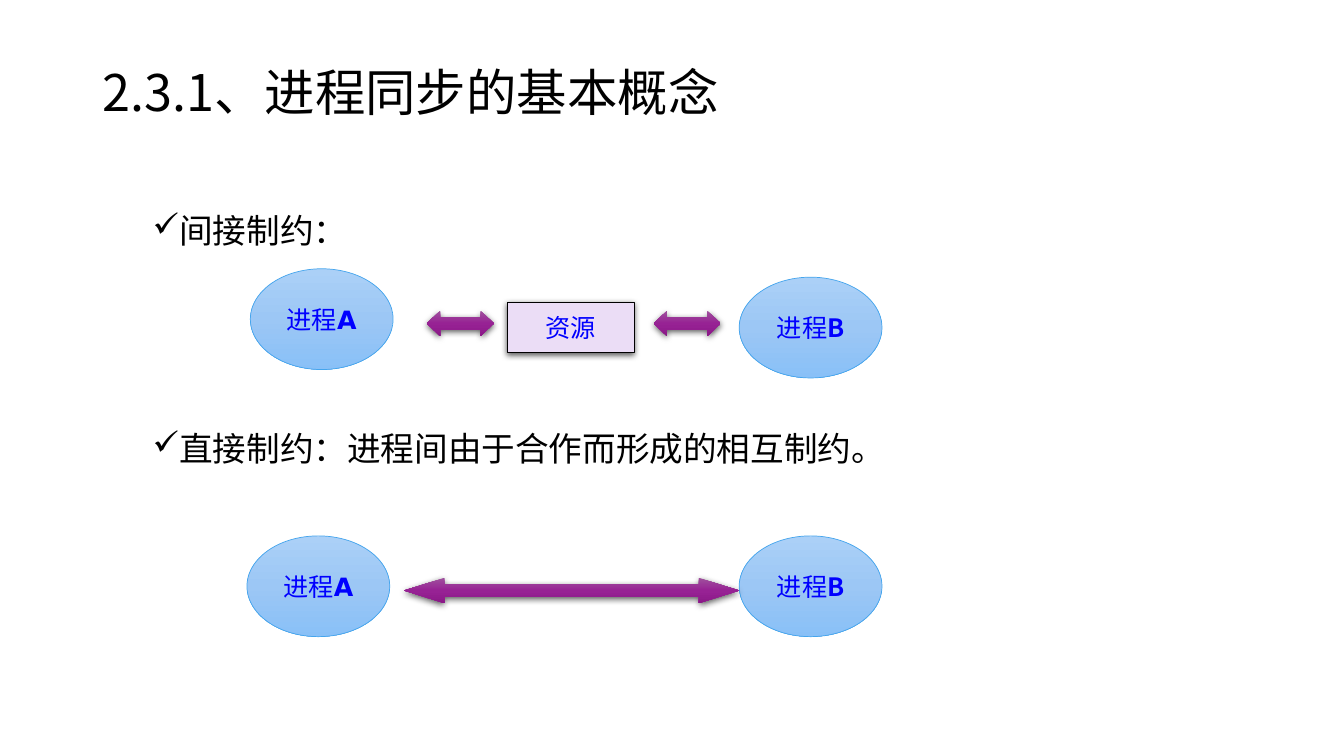
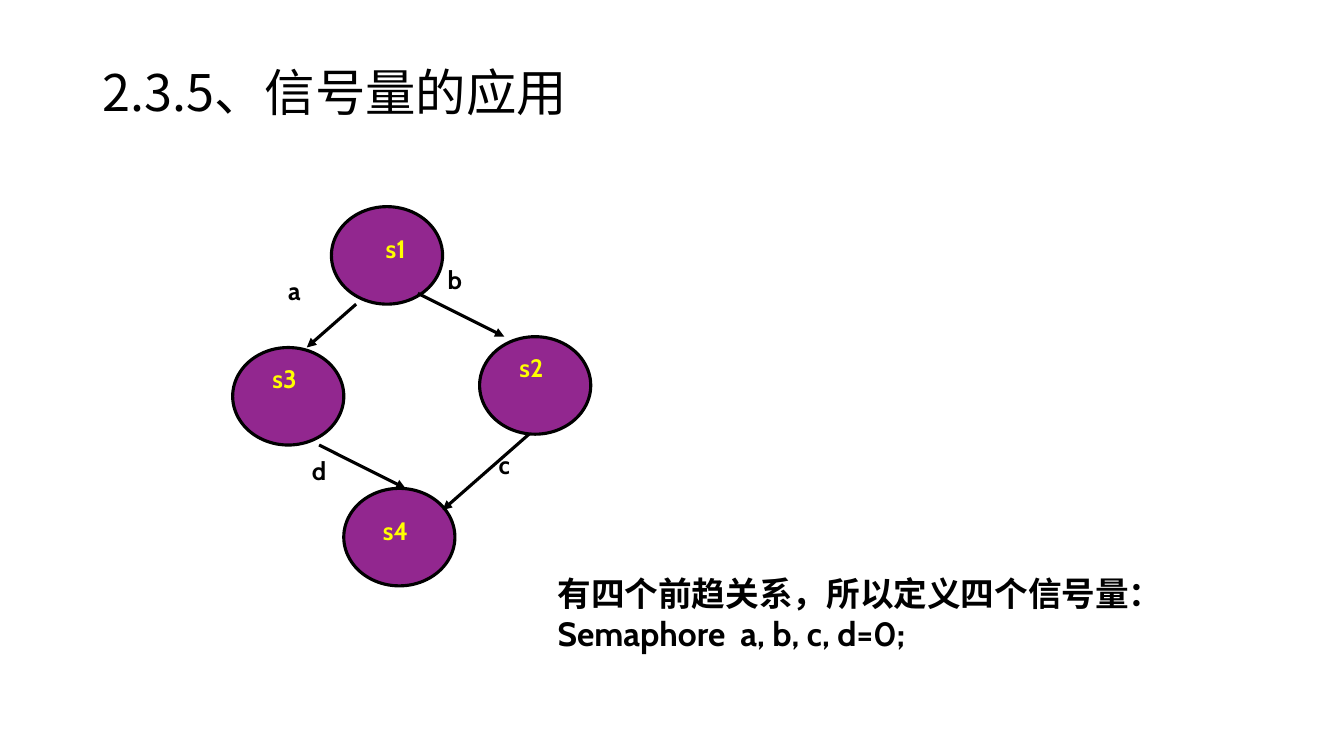
"""Two slides on process synchronisation: constraints between processes, and a semaphore precedence graph."""
from pptx import Presentation
from pptx.dml.color import RGBColor as RGB
from pptx.enum.shapes import MSO_CONNECTOR as CON, MSO_SHAPE as SHP
from pptx.enum.text import MSO_ANCHOR as ANC, PP_ALIGN as AL
from pptx.oxml import parse_xml
from pptx.oxml.ns import nsdecls, qn
from pptx.util import Emu, Inches, Pt


class Theme:
    sans, head, label = "DejaVu Sans", "Noto Sans CJK SC", "Cabin"
    black, blue, yellow = "000000", "0000FF", "FFFF00"
    purple, lilac, sky_line = "92278F", "EBDDF6", "45A5ED"
    sky = ("ABD0F7", "9CC7F5", "89C0F7")
    violet = ("9F519D", "972294", "8B1988")
    title_size, body_size, small_size = Pt(36), Pt(24), Pt(18)
    thin, fine, thick = Pt(0.5), Pt(0.75), Pt(2.25)


T = Theme
TITLE = dict(name=T.head, size=T.title_size, color=T.black)
BODY = dict(name=T.head, size=T.body_size, color=T.black)
PROCESS = dict(name=T.sans, size=T.small_size, color=T.blue)
NODE = dict(name=T.label, size=T.small_size, color=T.yellow, bold=True)
EDGE = dict(NODE, color=T.black)
NOTE = dict(EDGE, size=T.body_size)

prs = Presentation()
prs.slide_width, prs.slide_height = Inches(13.33), Inches(7.5)
COL, ROW = prs.slide_width / 160, prs.slide_height / 90


def write(sp, paras, align=AL.LEFT, spacing=1.0, **frame):
    """Fill a shape with paragraphs of (text, format) runs."""
    tf = sp.text_frame
    for key, value in frame.items():
        setattr(tf, key, value)
    for i, runs in enumerate(paras):
        p = tf.paragraphs[0] if i == 0 else tf.add_paragraph()
        p.alignment, p.line_spacing = align, spacing
        for text, fmt in runs:
            r = p.add_run()
            r.text = text
            for key, value in fmt.items():
                if key == "color":
                    r.font.color.rgb = RGB.from_string(value)
                else:
                    setattr(r.font, key, value)
            r._r.rPr.append(parse_xml(f'<a:ea {nsdecls("a")} typeface="{T.head}"/>'))
    return tf


def draw(s, kind, at, fill, line=None, width=None, shadow=False):
    """Add a preset shape with a plain or three-stop fill."""
    sp = s.shapes.add_shape(kind, *at)
    if isinstance(fill, str):
        sp.fill.solid()
        sp.fill.fore_color.rgb = RGB.from_string(fill)
    else:
        stops = "".join(f'<a:gs pos="{i * 50000}"><a:srgbClr val="{c}"/></a:gs>'
                        for i, c in enumerate(fill))
        sp._element.spPr.append(parse_xml(
            f'<a:gradFill {nsdecls("a")} rotWithShape="1"><a:gsLst>{stops}</a:gsLst>'
            '<a:lin ang="5400000" scaled="0"/></a:gradFill>'))
    if line:
        sp.line.color.rgb = RGB.from_string(line)
        sp.line.width = width
    else:
        sp.line.fill.background()
    sp.shadow.inherit = False
    if shadow:
        sp._element.spPr.find(qn("a:effectLst")).append(parse_xml(
            f'<a:outerShdw {nsdecls("a")} blurRad="{Pt(4.5)}" dist="{Pt(1.5)}" dir="5400000" '
            'rotWithShape="0"><a:srgbClr val="000000"><a:alpha val="63000"/></a:srgbClr></a:outerShdw>'))
    return sp


slides = []
for title in ("2.3.1、进程同步的基本概念", "2.3.5、信号量的应用"):
    s = prs.slides.add_slide(prs.slide_layouts[6])
    sp = s.shapes.add_textbox(*map(Emu, map(int, (11 * COL, 4.8 * ROW, 138 * COL, 13 * ROW))))
    write(sp, [[(title, TITLE)]], spacing=0.9, word_wrap=True, vertical_anchor=ANC.MIDDLE)
    slides.append(s)
constraints, semaphores = slides

for row, text in ((22, "间接制约："), (48, "直接制约：进程间由于合作而形成的相互制约。")):
    sp = constraints.shapes.add_textbox(int(11 * COL), int(row * ROW), int(138 * COL), int(9 * ROW))
    pPr = sp.text_frame.paragraphs[0]._p.get_or_add_pPr()
    pPr.set("marL", str(Inches(0.75)))
    pPr.set("indent", str(Inches(-0.25)))
    pPr.append(parse_xml(f'<a:buChar {nsdecls("a")} char="✓"/>'))
    write(sp, [[(text, BODY)]], spacing=1.5, word_wrap=True)

centred = dict(align=AL.CENTER, word_wrap=False, vertical_anchor=ANC.MIDDLE,
               margin_left=0, margin_top=0, margin_right=0, margin_bottom=0)
for col, row, letter, font in ((29.8, 32, "A", T.sans), (88, 33, "B", T.head),
                               (29.4, 63.8, "A", T.sans), (88, 63.8, "B", T.head)):
    at = [int(v) for v in (col * COL, row * ROW, 17 * COL, 12 * ROW)]
    sp = draw(constraints, SHP.OVAL, at, T.sky, T.sky_line, T.thin)
    write(sp, [[("进程", PROCESS), (letter, dict(PROCESS, name=font, bold=True))]], **centred)

at = [int(v) for v in (60.4 * COL, 36 * ROW, 15.1 * COL, 6 * ROW)]
sp = draw(constraints, SHP.RECTANGLE, at, T.lilac, T.black, T.fine, shadow=True)
write(sp, [[("资源", PROCESS)]], **centred)

for col, row, cols, head in ((50.8, 37, 8, 0.53), (77.8, 37, 8, 0.53), (48.1, 68.8, 39.9, 1.6)):
    at = [int(v) for v in (col * COL, row * ROW, cols * COL, 3 * ROW)]
    sp = draw(constraints, SHP.LEFT_RIGHT_ARROW, at, T.violet, shadow=True)
    sp.adjustments[0], sp.adjustments[1] = 0.5, head

LEFT, TOP = 27.7 * COL, 24.6 * ROW
STEP_X, STEP_Y = 1.47 * COL, 1.29 * ROW

for col, row in ((8, 0), (20, 12), (0, 13), (9, 26)):
    at = [int(v) for v in (LEFT + col * STEP_X, TOP + row * STEP_Y, 9 * STEP_X, 9 * STEP_Y)]
    draw(semaphores, SHP.OVAL, at, T.purple, T.black, T.thick)

for x1, y1, x2, y2 in ((10, 9, 6, 13), (15, 8, 22, 12), (24, 21, 17, 28), (7, 22, 14, 26)):
    ends = [int(v) for v in (LEFT + x1 * STEP_X, TOP + y1 * STEP_Y,
                             LEFT + x2 * STEP_X, TOP + y2 * STEP_Y)]
    sp = semaphores.shapes.add_connector(CON.STRAIGHT, *ends)
    sp.line.color.rgb = RGB.from_string(T.black)
    sp.line.width = T.thick
    sp.line._ln.append(parse_xml(f'<a:tailEnd {nsdecls("a")} type="triangle"/>'))
    sp._element.spPr.append(parse_xml(f'<a:effectLst {nsdecls("a")}/>'))

for col, row, text, fmt in ((10.2, 2, "s1", NODE), (21.2, 13, "s2", NODE),
                            (1.2, 14, "s3", NODE), (10.2, 28, "s4", NODE),
                            (2, 5.9, "a", EDGE), (15, 4.9, "b", EDGE),
                            (19, 21.9, "c", EDGE), (4, 22.5, "d", EDGE)):
    at = [int(v) for v in (LEFT + col * STEP_X, TOP + row * STEP_Y, 6 * STEP_X, 5 * STEP_Y)]
    write(semaphores.shapes.add_textbox(*at), [[(text, fmt)]], align=AL.CENTER, word_wrap=False)

at = [int(v) for v in (65.2 * COL, 67.6 * ROW, 75.6 * COL, 10.9 * ROW)]
write(semaphores.shapes.add_textbox(*at),
      [[("有四个前趋关系，所以定义四个信号量：", NOTE)], [("Semaphore  a, b, c, d=0;", NOTE)]],
      word_wrap=True)

prs.save("out.pptx")
